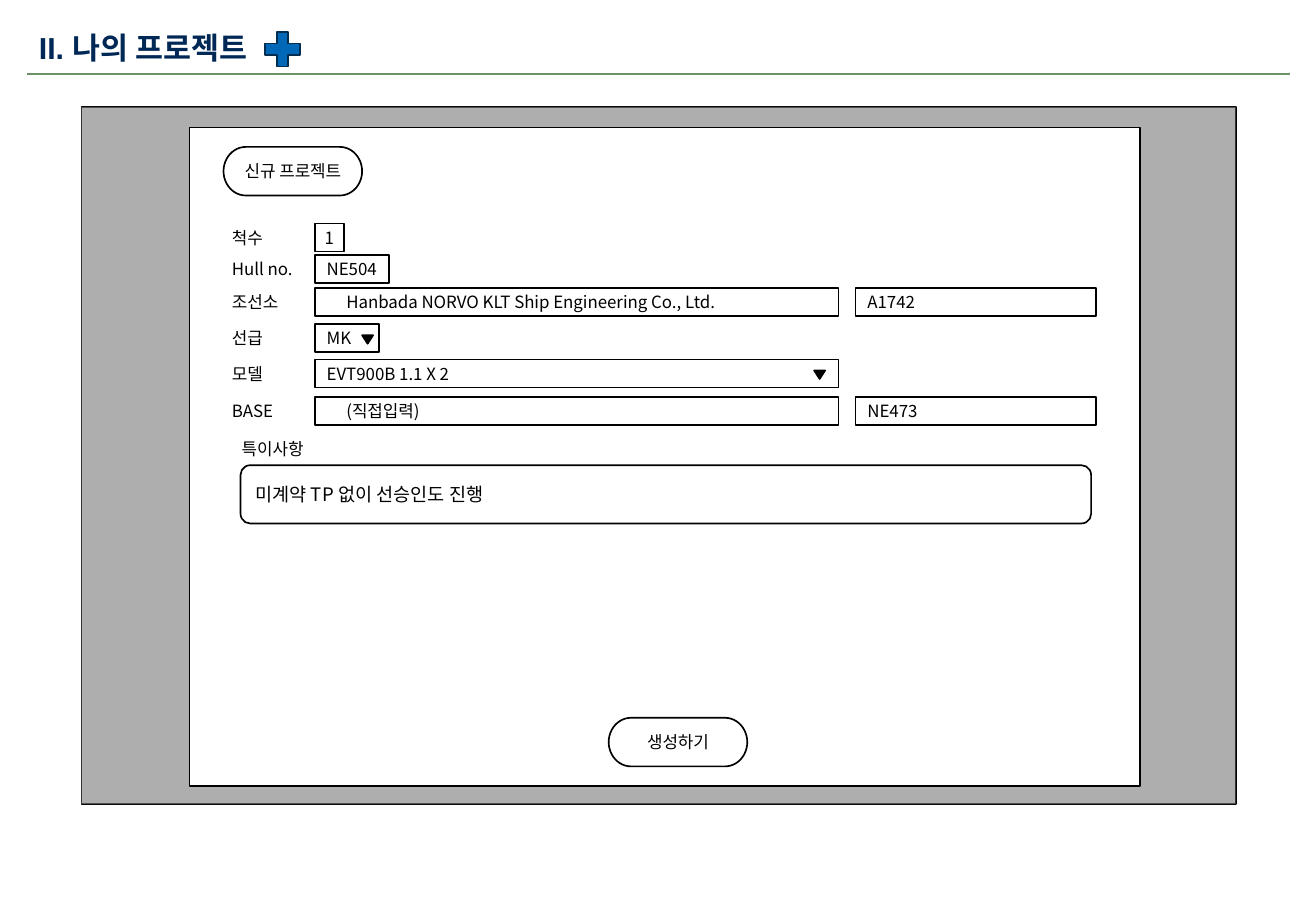
"""Build the new-project form slide."""
from lxml import etree
from pptx import Presentation
from pptx.dml.color import RGBColor
from pptx.enum.shapes import MSO_CONNECTOR, MSO_SHAPE
from pptx.enum.text import MSO_ANCHOR, PP_ALIGN
from pptx.oxml.ns import qn
from pptx.util import Inches, Pt

RECTANGLE, PROCESS = MSO_SHAPE.RECTANGLE, MSO_SHAPE.FLOWCHART_PROCESS
TERMINATOR = MSO_SHAPE.FLOWCHART_TERMINATOR
ROUNDED = MSO_SHAPE.FLOWCHART_ALTERNATE_PROCESS
TRIANGLE, PLUS = MSO_SHAPE.ISOSCELES_TRIANGLE, MSO_SHAPE.MATH_PLUS
STRAIGHT = MSO_CONNECTOR.STRAIGHT
MIDDLE, LEFT, CENTER = MSO_ANCHOR.MIDDLE, PP_ALIGN.LEFT, PP_ALIGN.CENTER

COLORS = {"white": "FFFFFF", "black": "000000", "gray": "808080",
          "navy": "002856", "blue": "0068B6", "edge": "002E50", "green": "6B9265"}
TITLE_FONT, BODY_FONT = "Arial", "Noto Sans CJK KR"

TITLE = "II. 나의 프로젝트"
ROWS = [
    {"top": 1.84, "label": "척수", "value": "1", "width": 0.24, "align": CENTER},
    {"top": 2.10, "label": "Hull no.", "value": "NE504", "width": 0.61},
    {"top": 2.37, "label": "조선소", "value": "Hanbada NORVO KLT Ship Engineering Co., Ltd.",
     "width": 4.31, "inset": 0.26, "extra": "A1742"},
    {"top": 2.67, "label": "선급", "value": "MK", "width": 0.53, "arrow": 2.98},
    {"top": 2.96, "label": "모델", "value": "EVT900B 1.1 X 2", "width": 4.31, "arrow": 6.7},
    {"top": 3.27, "label": "BASE", "value": "(직접입력)",
     "width": 4.31, "inset": 0.26, "extra": "NE473"},
]
BUTTONS = [("신규 프로젝트", 1.84, 1.21), ("생성하기", 5.01, 5.91)]
NOTE_LABEL, NOTE = "특이사항", "미계약 TP 없이 선승인도 진행"

LABEL_LEFT, FIELD_LEFT, EXTRA_LEFT = 1.81, 2.59, 7.04
FIELD_HEIGHT, LABEL_HEIGHT = 0.23, 0.27


def rgb(name):
    return RGBColor.from_string(COLORS[name])


def write(shape, text, size=10, align=LEFT, font=BODY_FONT, color="black", bold=False):
    frame = shape.text_frame
    frame.word_wrap = True
    frame.vertical_anchor = MIDDLE
    frame.text = text
    paragraph = frame.paragraphs[0]
    paragraph.alignment = align
    paragraph.font.size = Pt(size)
    paragraph.font.bold = bold
    paragraph.font.color.rgb = rgb(color)
    paragraph.font.name = font
    defaults = paragraph._p.pPr.find(qn("a:defRPr"))
    etree.SubElement(defaults, qn("a:ea"), typeface=BODY_FONT)
    return paragraph


def add_box(slide, kind, left, top, width, height, fill="white", line="black"):
    shape = slide.shapes.add_shape(kind, Inches(left), Inches(top), Inches(width), Inches(height))
    shape.shadow.inherit = False
    shape.fill.solid()
    shape.fill.fore_color.rgb = rgb(fill)
    if line:
        shape.line.color.rgb = rgb(line)
        shape.line.width = Pt(1)
    else:
        shape.line.fill.background()
    return shape


def add_label(slide, text, left, top, width):
    label = slide.shapes.add_textbox(Inches(left), Inches(top), Inches(width), Inches(LABEL_HEIGHT))
    write(label, text)


def add_field(slide, text, left, top, width, inset=0.1, align=LEFT):
    field = add_box(slide, PROCESS, left, top, width, FIELD_HEIGHT)
    write(field, text, align=align)
    frame = field.text_frame
    frame.margin_left = Inches(0 if align == CENTER else inset)
    frame.margin_right = frame.margin_top = frame.margin_bottom = 0


def add_header(slide):
    rule = slide.shapes.add_connector(STRAIGHT, Inches(0.22), Inches(0.61), Inches(10.62), Inches(0.61))
    rule.line.color.rgb = rgb("green")
    rule.line.width = Pt(0.75)
    etree.SubElement(rule._element.spPr, qn("a:effectLst"))
    title = slide.shapes.title
    title.left, title.top = Inches(0.22), Inches(0.21)
    title.width, title.height = Inches(10.39), Inches(0.39)
    paragraph = write(title, TITLE, 18, font=TITLE_FONT, color="navy", bold=True)
    paragraph.line_spacing = 0.9
    add_box(slide, PLUS, 2.13, 0.21, 0.39, 0.39, "blue", "edge")


def add_panels(slide):
    add_box(slide, RECTANGLE, 0.67, 0.88, 9.5, 5.74)
    shade = add_box(slide, RECTANGLE, 0.67, 0.88, 9.5, 5.74, "gray", None)
    color = shade._element.spPr.find(qn("a:solidFill"))[0]
    etree.SubElement(color, qn("a:alpha"), val="63000")
    add_box(slide, RECTANGLE, 1.56, 1.05, 7.82, 5.42)


def add_form(slide):
    for row in ROWS:
        top = row["top"]
        add_label(slide, row["label"], LABEL_LEFT, top - 0.02, 0.86)
        add_field(slide, row["value"], FIELD_LEFT, top, row["width"],
                  row.get("inset", 0.1), row.get("align", LEFT))
        if "extra" in row:
            add_field(slide, row["extra"], EXTRA_LEFT, top, 1.98)
        if "arrow" in row:
            arrow = add_box(slide, TRIANGLE, row["arrow"], top + 0.09, 0.09, 0.07, "black")
            arrow.rotation = 180
    add_label(slide, NOTE_LABEL, 1.89, 3.56, 6.04)
    write(add_box(slide, ROUNDED, 1.98, 3.83, 7, 0.48), NOTE, 11)
    for text, left, top in BUTTONS:
        button = add_box(slide, TERMINATOR, left, top, 1.14, 0.4)
        write(button, text, align=CENTER)
        button.text_frame.margin_left = button.text_frame.margin_right = 0


def main():
    presentation = Presentation()
    presentation.slide_width, presentation.slide_height = Inches(10.83), Inches(7.5)
    slide = presentation.slides.add_slide(presentation.slide_layouts[5])
    add_header(slide)
    add_panels(slide)
    add_form(slide)
    presentation.save("out.pptx")


if __name__ == "__main__":
    main()
